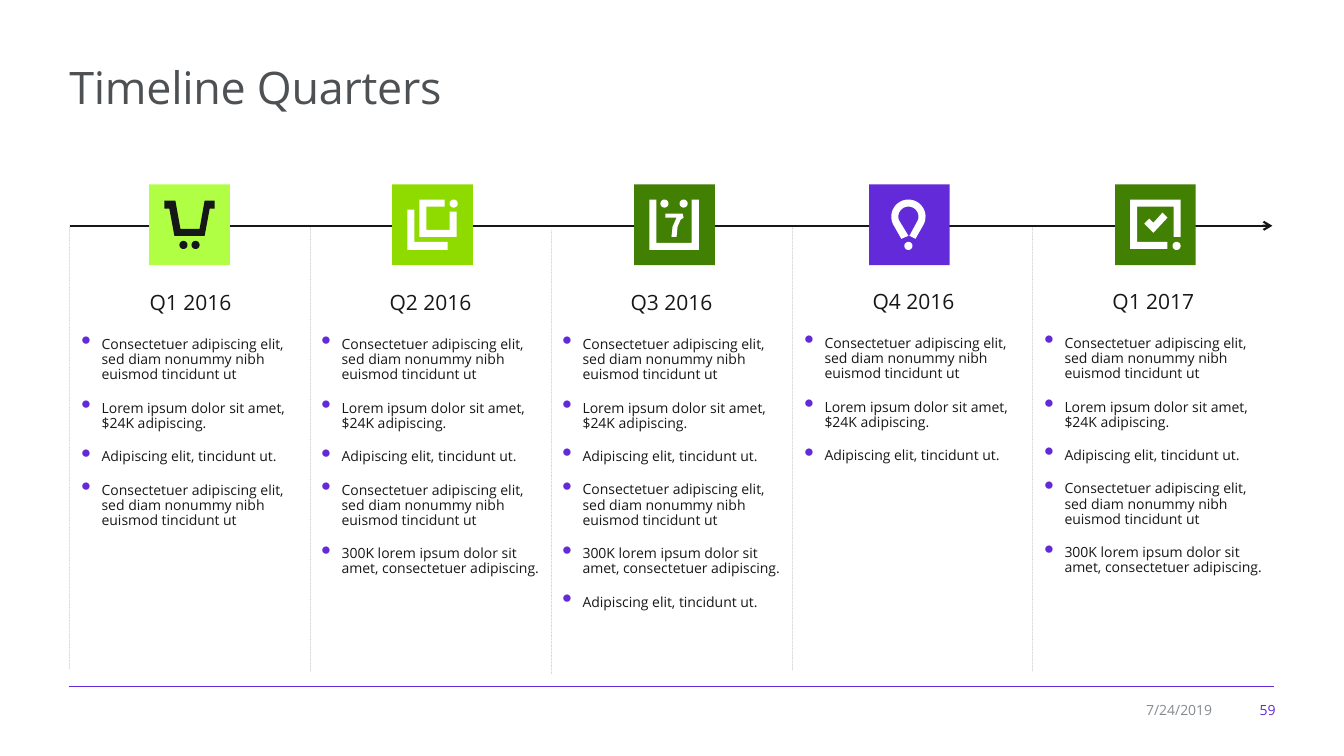
"""Builds the Timeline Quarters slide."""
import math
from dataclasses import dataclass

from lxml import etree
from pptx import Presentation
from pptx import util as u
from pptx.dml import color
from pptx.enum import dml, shapes, text
from pptx.oxml import ns

PX = 9144
FONT = "Open Sans"
COLORS = {
    "ink": "161718", "title": "4D5154", "grey": "868B90", "purple": "622AD8",
    "lime": "B0FF45", "green": "8FDB00", "forest": "428003", "white": "FFFFFF",
}
TILE, TILE_TOP, DOT = 80, 183, 4
COLUMN_W, DIVIDER_H = 236, 441

Point = tuple[float, float]
Contour = list[Point]

ELIT = "Consectetuer adipiscing elit, sed diam nonummy nibh euismod tincidunt ut"
LOREM = "Lorem ipsum dolor sit amet, $24K adipiscing."
SHORT = "Adipiscing elit, tincidunt ut."
BULLETS = [ELIT, LOREM, SHORT, ELIT,
           "300K lorem ipsum dolor sit amet, consectetuer adipiscing.", SHORT]


@dataclass(frozen=True)
class Icon:
    outlines: list[Contour]
    dots: list[Point]
    color: str = "white"


@dataclass(frozen=True)
class Quarter:
    name: str
    left: int
    top: int
    height: int
    bullets: int
    divider_x: int
    divider_top: int
    tile_left: int
    tile_color: str
    icon: Icon


@dataclass(frozen=True)
class Rule:
    start: tuple[int, int]
    end: tuple[int, int]
    color: str
    width: float
    faint: bool = False
    arrow: bool = False


@dataclass(frozen=True)
class Label:
    words: str
    box: tuple[int, int, int, int]
    size: int
    color: str
    align: text.PP_ALIGN
    tracking: int = 0


def arc(x: float, y: float, r: float, start: int, end: int) -> Contour:
    """Return points along a circular arc, with angles in degrees."""
    steps = 24
    angles = [math.radians(start + (end - start) * i / steps) for i in range(steps + 1)]
    return [(x + r * math.cos(a), y + r * math.sin(a)) for a in angles]


CART = Icon([[(65, 16), (65, 24), (60, 24), (55, 51), (25, 51), (20, 24), (15, 24),
              (15, 16), (26, 16), (31, 44), (50, 44), (55, 16)]],
            [(34, 60), (46, 60)], "ink")
PAGES = Icon([[(57, 27), (64, 27), (64, 52), (27, 52), (27, 15), (52, 15), (52, 22),
               (34, 22), (34, 45), (57, 45)],
              [(22, 25), (15, 25), (15, 65), (55, 65), (55, 57), (22, 57)]],
             [(61, 19)])
CALENDAR = Icon([[(64, 15), (64, 65), (15, 65), (15, 15), (22, 15), (22, 58), (57, 58),
                  (57, 15)],
                 [(42, 52), (43, 42), (46, 35), (49, 33), (48, 29), (31, 29), (31, 33),
                  (42, 33), (38, 42), (37, 52)]],
                [(30, 19), (49, 19)])
PIN = Icon([arc(39, 32, 17, 155, 385) + [(46, 54), (40, 51)]
            + arc(39, 32, 10, 380, 160) + [(39, 51), (32, 54)]], [(39, 61)])
CHECK = Icon([[(22, 57), (52, 57), (52, 64), (15, 64), (15, 15), (65, 15), (65, 52),
               (58, 52), (58, 22), (22, 22)],
              [(34, 34), (29, 39), (38, 48), (52, 33), (47, 28), (38, 38)]],
             [(61, 61)])

QUARTERS = [
    Quarter("Q1 2016", 71, 285, 305, 4, 69, 223, 148, "lime", CART),
    Quarter("Q2 2016", 309, 285, 368, 5, 308, 225, 389, "green", PAGES),
    Quarter("Q3 2016", 548, 285, 403, 6, 547, 228, 629, "forest", CALENDAR),
    Quarter("Q4 2016", 788, 284, 195, 3, 786, 224, 862, "purple", PIN),
    Quarter("Q1 2017", 1026, 284, 333, 5, 1024, 225, 1106, "forest", CHECK),
]
LABELS = [
    Label("Timeline Quarters", (59, 55, 1216, 66), 32, "title", text.PP_ALIGN.LEFT, -20),
    Label("59", (1224, 692, 51, 26), 10, "purple", text.PP_ALIGN.RIGHT),
    Label("7/24/2019", (1117, 692, 95, 26), 10, "grey", text.PP_ALIGN.RIGHT),
]
RULES = [
    Rule((68, 681), (1264, 681), "purple", 0.75),
    Rule((69, 224), (1262, 224), "ink", 1.5, arrow=True),
    *(Rule((q.divider_x, q.divider_top + DIVIDER_H), (q.divider_x, q.divider_top),
           "ink", 0.5, faint=True) for q in QUARTERS),
]


def rgb(name: str) -> color.RGBColor:
    """Return a named colour."""
    return color.RGBColor.from_string(COLORS[name])


def emu(*lengths: float) -> list[int]:
    """Turn px lengths into EMU."""
    return [round(length * PX) for length in lengths]


def add_child(parent, tag: str, **attributes: str):
    """Append a namespaced element to an XML parent."""
    return etree.SubElement(parent, ns.qn(tag), **attributes)


def add_box(s, box: tuple[int, int, int, int]):
    """Add a wrapping text box and return its text frame."""
    tf = s.shapes.add_textbox(*emu(*box)).text_frame
    tf.word_wrap = True
    return tf


def set_text(p, words: str, size: int, name: str):
    """Fill a paragraph, format its run and return the run."""
    p.text = words
    r = p.runs[0]
    r.font.name, r.font.size = FONT, u.Pt(size)
    r.font.color.rgb = rgb(name)
    return r


def draw_rule(s, rule: Rule) -> None:
    """Draw a straight line, dotted or arrowed when asked."""
    line = s.shapes.add_connector(shapes.MSO_CONNECTOR.STRAIGHT,
                                  *emu(*rule.start, *rule.end))
    line.line.width = u.Pt(rule.width)
    line.line.color.rgb = rgb(rule.color)
    ln = line.line._get_or_add_ln()
    if rule.faint:
        line.line.dash_style = dml.MSO_LINE.ROUND_DOT
        add_child(ln.find(".//" + ns.qn("a:srgbClr")), "a:alpha", val="20000")
    if rule.arrow:
        add_child(ln, "a:tailEnd", type="arrow")
    add_child(line._element.spPr, "a:effectLst")


def draw_label(s, label: Label) -> None:
    """Draw a single line of text."""
    tf = add_box(s, label.box)
    tf.vertical_anchor = text.MSO_ANCHOR.MIDDLE
    p = tf.paragraphs[0]
    p.alignment, p.line_spacing = label.align, 0.95
    r = set_text(p, label.words, label.size, label.color)
    if label.tracking:
        r._r.get_or_add_rPr().set("spc", str(label.tracking))


def draw_column(s, q: Quarter) -> None:
    """Draw a quarter's heading and bullets."""
    tf = add_box(s, (q.left, q.top, COLUMN_W, q.height))
    p = tf.paragraphs[0]
    p.alignment, p.line_spacing, p.space_after = text.PP_ALIGN.CENTER, 0.9, u.Pt(16)
    set_text(p, q.name, 15, "ink")
    for words in BULLETS[:q.bullets]:
        p = tf.add_paragraph()
        p.line_spacing, p.space_after = 0.9, u.Pt(13)
        pPr = p._p.get_or_add_pPr()
        pPr.set("marL", str(20 * PX))
        pPr.set("indent", str(-20 * PX))
        add_child(add_child(pPr, "a:buClr"), "a:srgbClr", val=COLORS["purple"])
        add_child(pPr, "a:buSzPct", val="200000")
        add_child(pPr, "a:buChar", char="•")
        set_text(p, words, 10, "ink")


def paint(sp, name: str) -> None:
    """Give a shape a flat fill and no line or shadow."""
    sp.shadow.inherit = False
    sp.fill.solid()
    sp.fill.fore_color.rgb = rgb(name)
    sp.line.fill.background()


def draw_tile(s, q: Quarter) -> None:
    """Draw a quarter's coloured square and its icon."""
    paint(s.shapes.add_shape(shapes.MSO_SHAPE.RECTANGLE,
                             *emu(q.tile_left, TILE_TOP, TILE, TILE)), q.tile_color)
    contours = q.icon.outlines + [arc(x, y, DOT, 0, 360) for x, y in q.icon.dots]
    placed = [[emu(q.tile_left + x, TILE_TOP + y) for x, y in c] for c in contours]
    pen = s.shapes.build_freeform(*placed[0][0])
    for i, points in enumerate(placed):
        if i:
            pen.move_to(*points[0])
        pen.add_line_segments(points[1:], close=True)
    paint(pen.convert_to_shape(), q.icon.color)


def main() -> None:
    """Build and save the slide."""
    prs = Presentation()
    prs.slide_width, prs.slide_height = emu(1333, 750)
    s = prs.slides.add_slide(prs.slide_layouts[6])
    for rule in RULES:
        draw_rule(s, rule)
    for label in LABELS:
        draw_label(s, label)
    for q in QUARTERS:
        draw_column(s, q)
        draw_tile(s, q)
    prs.save("out.pptx")


if __name__ == "__main__":
    main()
